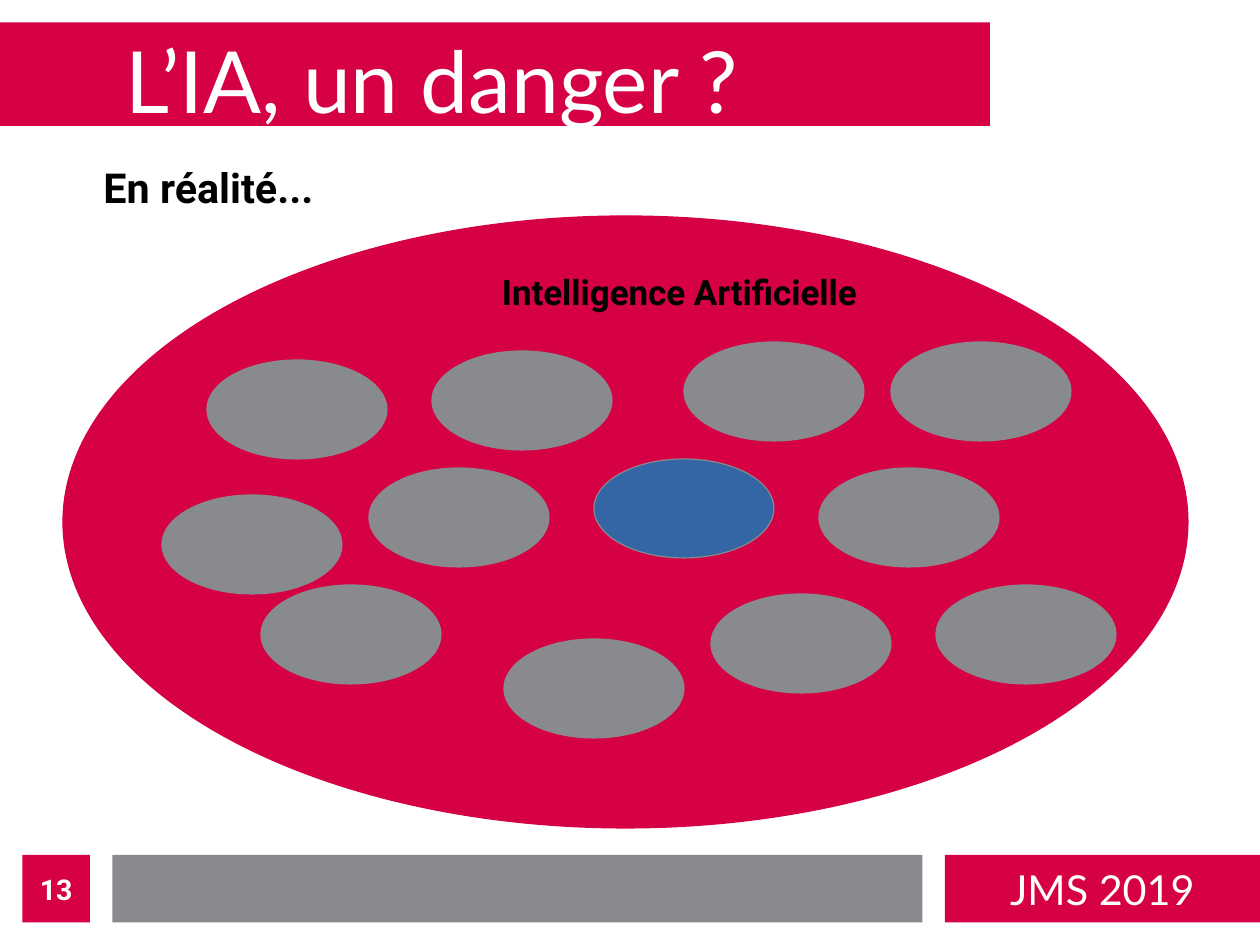
import pptx
import pptx.util
import pptx.dml.color
from dataclasses import dataclass
from pptx.enum.shapes import MSO_SHAPE
from pptx.enum.text import MSO_ANCHOR, PP_ALIGN
from pptx.util import Cm


@dataclass(frozen=True)
class Theme:
    red: str = "D60044"
    grey: str = "888A8D"
    blue: str = "3465A4"
    white: str = "FFFFFF"
    black: str = "000000"
    light: str = "Lato"
    heavy: str = "Roboto"
    title: int = 54
    body: int = 26
    label: int = 22
    page: int = 18


theme = Theme()
rgb = pptx.dml.color.RGBColor.from_string


def draw(kind, box, fill, line=None):
    shape = slide.shapes.add_shape(kind, *map(Cm, box))
    shape.shadow.inherit = False
    shape.fill.solid()
    shape.fill.fore_color.rgb = rgb(fill)
    if line:
        shape.line.color.rgb = rgb(line)
        shape.line.width = 0
    else:
        shape.line.fill.background()
    return shape


def write(shape, text, face, size, color, align=PP_ALIGN.CENTER, anchor=MSO_ANCHOR.MIDDLE):
    """Put one line of text in a shape, without margins; the heavy face is bold."""
    frame = shape.text_frame
    frame.word_wrap = True
    frame.vertical_anchor = anchor
    frame.margin_left = frame.margin_right = frame.margin_top = frame.margin_bottom = 0
    para = frame.paragraphs[0]
    para.text = text
    para.alignment = align
    para.font.name = face
    para.font.size = pptx.util.Pt(size)
    para.font.bold = face == theme.heavy
    para.font.color.rgb = rgb(color)


deck = pptx.Presentation()
deck.slide_width, deck.slide_height = Cm(28), Cm(21)
slide = deck.slides.add_slide(deck.slide_layouts[5])

# Bands
draw(MSO_SHAPE.RECTANGLE, (0, 0.5, 22, 2.3), theme.red)
draw(MSO_SHAPE.RECTANGLE, (2.5, 19, 18, 1.5), theme.grey)
event = draw(MSO_SHAPE.RECTANGLE, (21, 19, 7, 1.5), theme.red)
write(event, "JMS 2019", theme.light, theme.body, theme.white)
page = draw(MSO_SHAPE.RECTANGLE, (0.5, 19, 1.5, 1.5), theme.red)
write(page, "13", theme.heavy, theme.page, theme.white)

# Title, brought in front of its band
title = slide.shapes.title
title.left, title.top, title.width, title.height = Cm(2.8), Cm(0.5), Cm(18), Cm(2.5)
write(title, "L’IA, un danger\u00a0?".replace("\u00a0", " "), theme.light, theme.title, theme.white, PP_ALIGN.LEFT)
title.element.getparent().append(title.element)

intro = slide.shapes.add_textbox(Cm(2.3), Cm(3.6), Cm(24.9), Cm(1.2))
write(intro, "En réalité...", theme.heavy, theme.body, theme.black, PP_ALIGN.LEFT, MSO_ANCHOR.TOP)

# Field of artificial intelligence and the areas within it
draw(MSO_SHAPE.OVAL, (1.4, 4.8, 25, 13.6), theme.red, theme.red)
label = slide.shapes.add_textbox(Cm(8.8), Cm(5.45), Cm(12.6), Cm(2.05))
write(label, "Intelligence Artificielle", theme.heavy, theme.label, theme.black)

areas = [
    (4.6, 8), (9.6, 7.8), (15.2, 7.6), (19.8, 7.6),
    (3.6, 11), (8.2, 10.4), (18.2, 10.4),
    (5.8, 13), (11.2, 14.2), (15.8, 13.2), (20.8, 13),
]
for left, top in areas:
    draw(MSO_SHAPE.OVAL, (left, top, 4, 2.2), theme.grey, theme.grey)
draw(MSO_SHAPE.OVAL, (13.2, 10.2, 4, 2.2), theme.blue, theme.grey)

deck.save("out.pptx")
